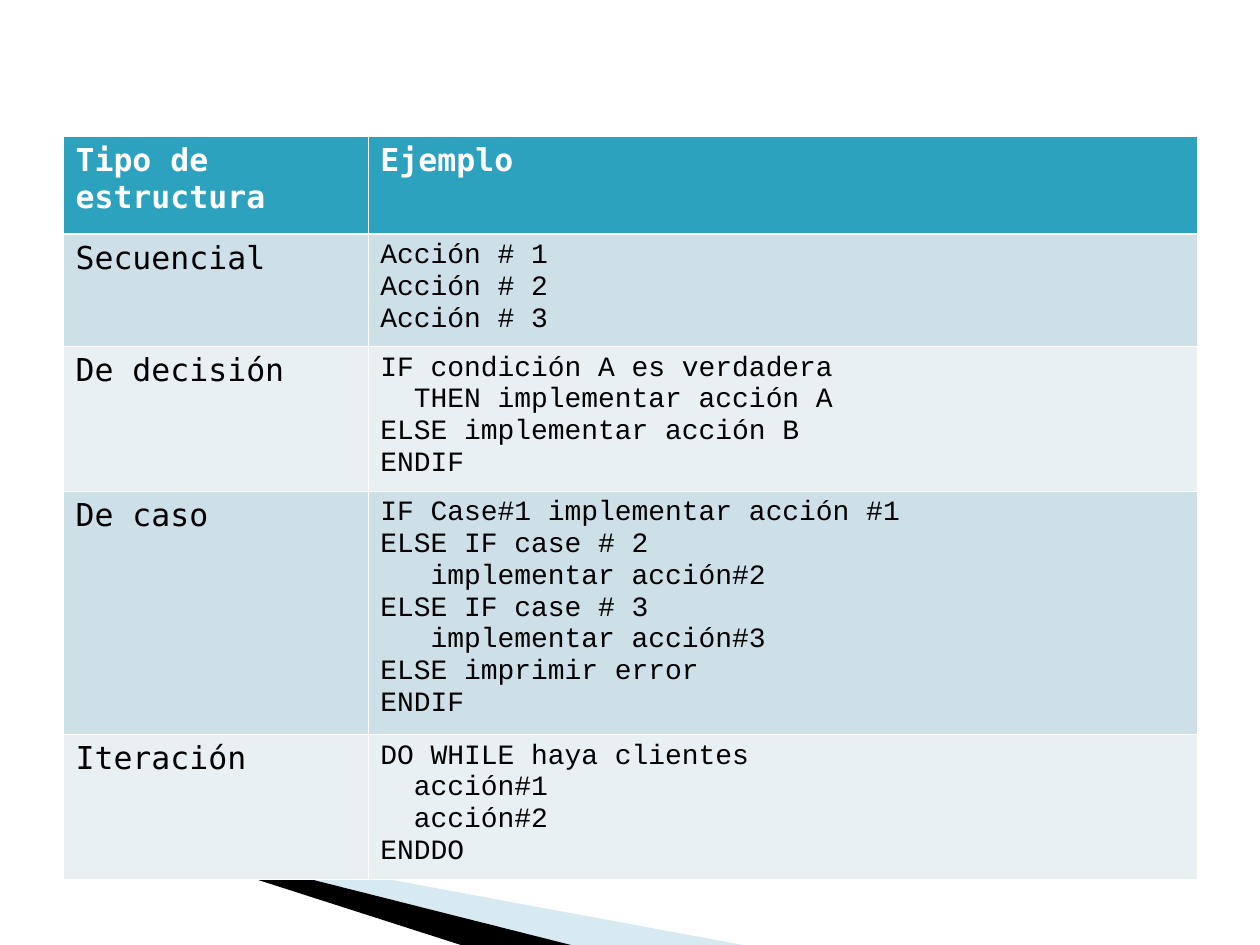
from pptx import Presentation
from pptx.dml.color import RGBColor as RGB
from pptx.oxml import parse_xml as parse
from pptx.oxml.ns import nsdecls, qn
from pptx.util import Inches, Pt

WHITE = RGB(0xFF, 0xFF, 0xFF)
BLACK = RGB(0, 0, 0)
TEAL = RGB(0x2D, 0xA2, 0xBF)
MID = RGB(0xCD, 0xE0, 0xE8)
PALE = RGB(0xE8, 0xF0, 0xF4)
SKY = RGB(0x9F, 0xCB, 0xDC)
SANS = "DejaVu Sans Mono"
CODE = "Courier New"
THIN, THICK = 0.45, 1.47

COLS = [2.42, 6.58]
ROWS = [
    (0.78, "Tipo de estructura", "Ejemplo"),
    (0.89, "Secuencial", "Acción # 1\nAcción # 2\nAcción # 3"),
    (1.15, "De decisión", """IF condición A es verdadera
  THEN implementar acción A
ELSE implementar acción B
ENDIF"""),
    (1.93, "De caso", """IF Case#1 implementar acción #1
ELSE IF case # 2
   implementar acción#2
ELSE IF case # 3
   implementar acción#3
ELSE imprimir error
ENDIF"""),
    (1.15, "Iteración", """DO WHILE haya clientes
  acción#1
  acción#2
ENDDO"""),
]


def write(frame, text, size=18, font=SANS, color=BLACK, bold=False):
    frame.word_wrap = True
    for i, line in enumerate(text.split("\n")):
        para = frame.add_paragraph() if i else frame.paragraphs[0]
        run = para.add_run()
        run.text = line
        run.font.size = Pt(size)
        run.font.name = font
        run.font.color.rgb = color
        run.font.bold = bold


def edge(cell, top, bottom):
    props = cell._tc.get_or_add_tcPr()
    sides = [("lnL", THIN), ("lnR", THIN), ("lnT", top), ("lnB", bottom)]
    for i, (tag, width) in enumerate(sides):
        props.insert(i, parse(
            f'<a:{tag} {nsdecls("a")} w="{Pt(width)}"><a:solidFill>'
            f'<a:srgbClr val="{WHITE}"/></a:solidFill></a:{tag}>'))


def wedge(slide, left, top, points, color, alpha=None):
    spots = [(Inches(left + x), Inches(top + y)) for x, y in points]
    build = slide.shapes.build_freeform(*spots[0])
    build.add_line_segments(spots[1:], close=True)
    shape = build.convert_to_shape()
    shape.shadow.inherit = False
    shape.line.fill.background()
    shape.fill.solid()
    shape.fill.fore_color.rgb = color
    if alpha:
        tint = shape._element.spPr.find(".//" + qn("a:srgbClr"))
        tint.append(parse(f'<a:alpha {nsdecls("a")} val="{alpha * 1000}"/>'))


def swoosh(slide, left, top):
    wedge(slide, left, top,
          [(0.02, 0.02), (5.42, 1.02), (4.03, 1.02), (0.02, 0.01)], SKY, 40)
    wedge(slide, left, top,
          [(0, 0), (4.04, 1.02), (3.19, 1.03), (0.01, 0.01)], BLACK)


def grid(slide, left, top, width, height):
    table = slide.shapes.add_table(
        len(ROWS), len(COLS), Inches(left), Inches(top),
        Inches(width), Inches(height)).table
    for col, wide in zip(table.columns, COLS):
        col.width = Inches(wide)
    for r, (tall, *texts) in enumerate(ROWS):
        table.rows[r].height = Inches(tall)
        for c, text in enumerate(texts):
            cell = table.cell(r, c)
            cell.fill.solid()
            cell.fill.fore_color.rgb = (MID if r % 2 else PALE) if r else TEAL
            edge(cell, THICK if r == 1 else THIN, THIN if r else THICK)
            if r == 0:
                write(cell.text_frame, text, color=WHITE, bold=True)
            elif c == 0:
                write(cell.text_frame, text)
            else:
                write(cell.text_frame, text, size=16, font=CODE)


def main():
    deck = Presentation()
    deck.slide_width, deck.slide_height = Inches(10), Inches(7.5)
    slide = deck.slides.add_slide(deck.slide_layouts[6])
    swoosh(slide, 0.53, 6.49)
    grid(slide, 0.5, 1.08, 9, 5.9)
    deck.save("out.pptx")


if __name__ == "__main__":
    main()
